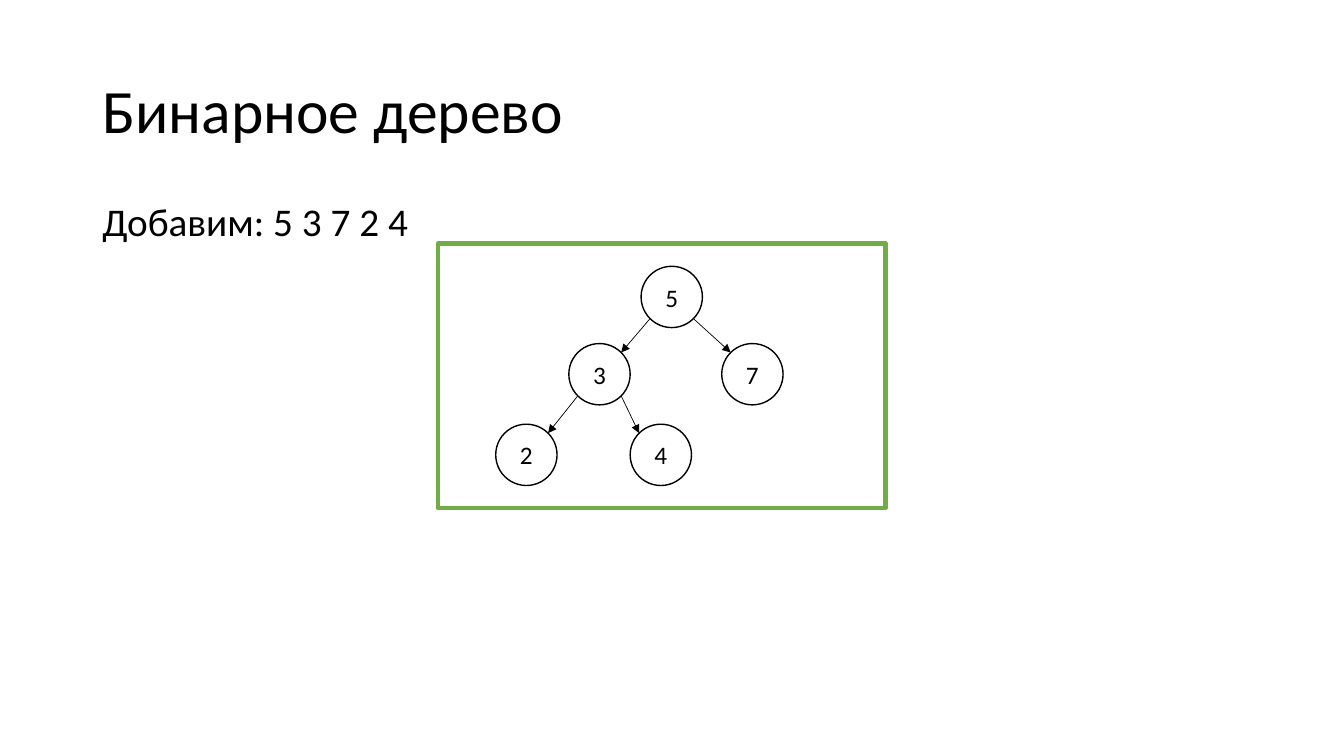
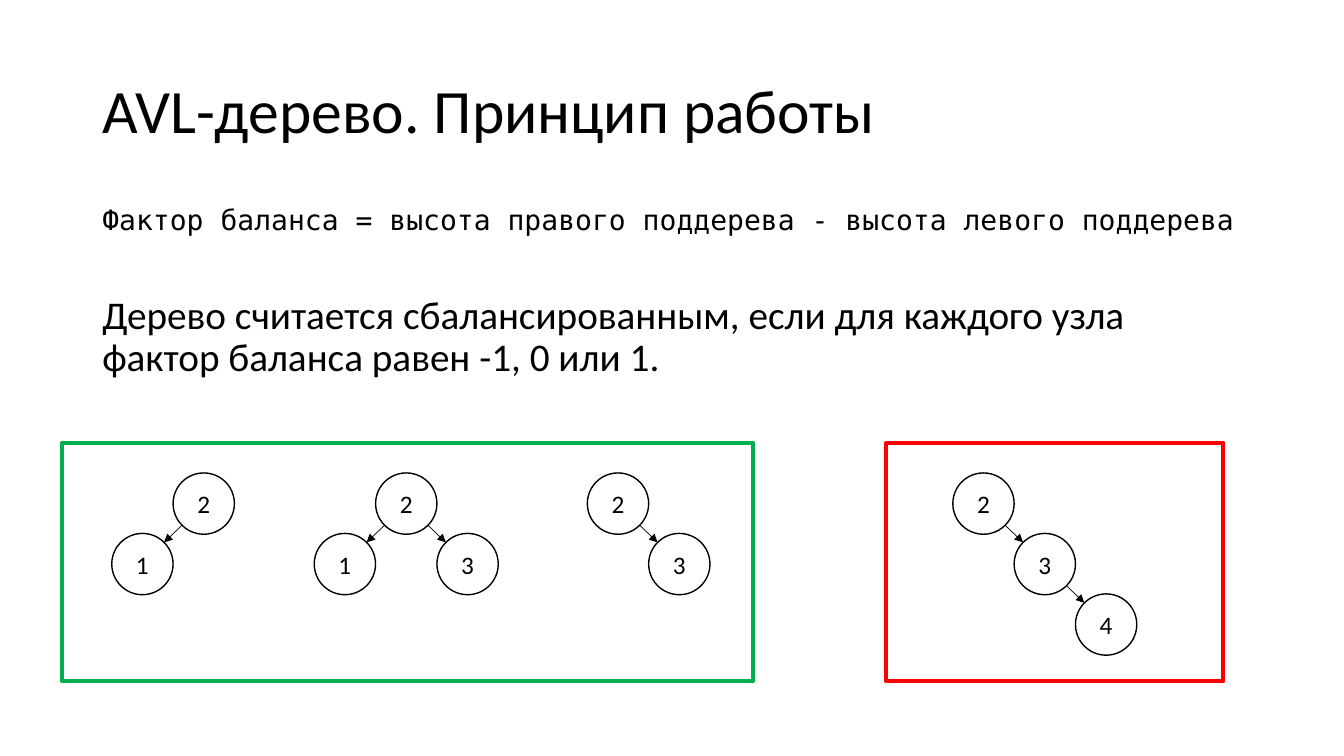
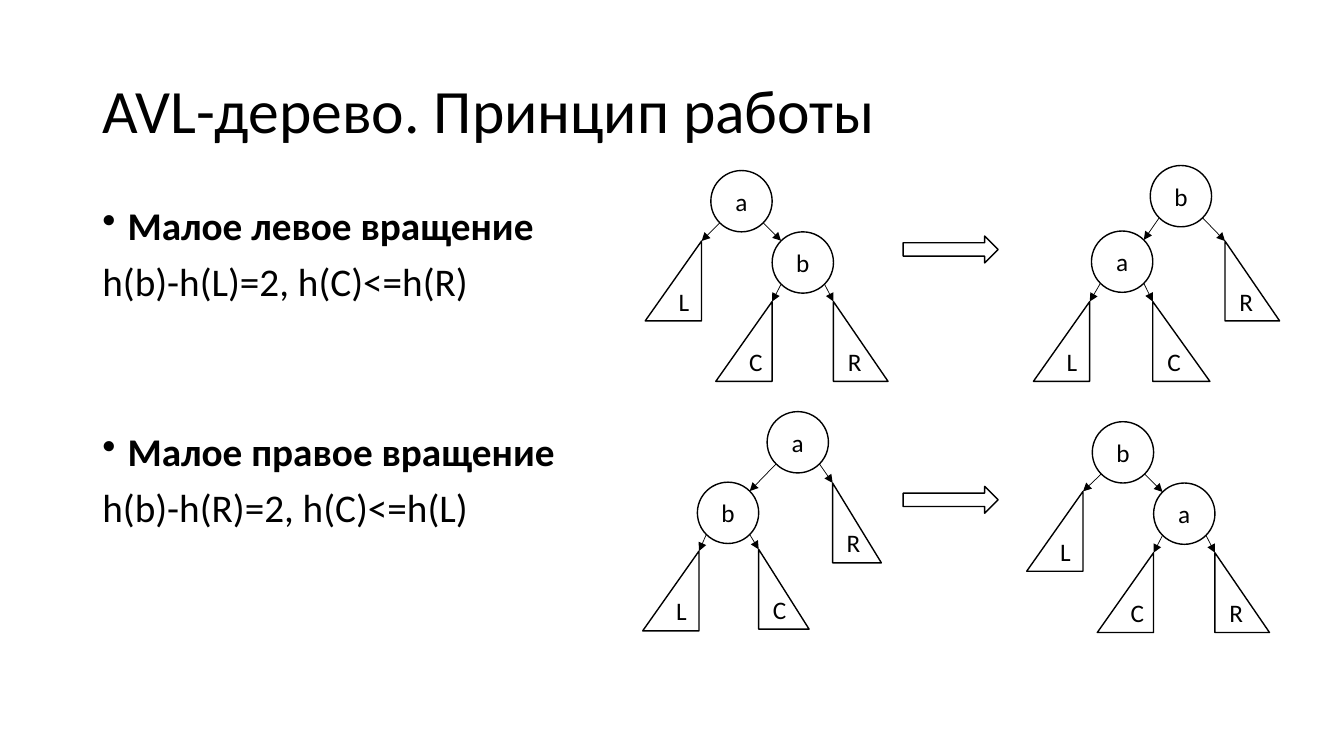
from lxml.etree import SubElement
from pptx import Presentation
from pptx.dml.color import RGBColor
from pptx.enum.shapes import MSO_CONNECTOR, MSO_SHAPE
from pptx.enum.text import MSO_ANCHOR, PP_ALIGN
from pptx.oxml.ns import qn
from pptx.util import Inches, Pt

COLORS = {"ink": "000000", "paper": "FFFFFF", "olive": "70AD47",
          "balanced": "00B050", "unbalanced": "FF0000"}
SANS, MONO = "Calibri", "DejaVu Sans Mono"

prs = Presentation()
prs.slide_width, prs.slide_height = Inches(13.33), Inches(7.5)

# Square grid: 160 columns by 90 rows
U = prs.slide_height / 90
NODE = 7.3                  # circle diameter
CORNER = NODE * 0.146       # where the 45° point of a circle lies in its box
SUBTREE_H = 9.5
STEP = 7.2                  # row distance in compact trees


def add_text(tf, text, size=28, font=SANS, bold=False, align=PP_ALIGN.LEFT,
             spacing=None, before=0, bullet=False):
    p = tf.paragraphs[0] if not tf.text else tf.add_paragraph()
    p.alignment = align
    p.space_before = Pt(before)
    if spacing:
        p.line_spacing = spacing
    if bullet:
        pPr = p._p.get_or_add_pPr()
        pPr.set("marL", str(Inches(0.25)))
        pPr.set("indent", str(-Inches(0.25)))
        SubElement(pPr, qn("a:buChar")).set("char", "•")
    r = p.add_run()
    r.text = text
    r.font.size, r.font.name, r.font.bold = Pt(size), font, bold
    r.font.color.rgb = RGBColor.from_string(COLORS["ink"])


def add_box(s, kind, box, fill="paper", line="ink", width=1):
    sp = s.shapes.add_shape(kind, *[round(v * U) for v in box])
    sp.shadow.inherit = False
    if fill:
        sp.fill.solid()
        sp.fill.fore_color.rgb = RGBColor.from_string(COLORS[fill])
    else:
        sp.fill.background()
    sp.line.color.rgb = RGBColor.from_string(COLORS[line])
    sp.line.width = Pt(width)
    return sp


# Trees: root column and row, then (label, parent, dx, dy, width).
# Offsets run from the parent's corner. A width makes a subtree triangle hung
# from its apex; a negative one extends to the left.
slides = [
    dict(
        title="Бинарное дерево", columns=138, rows=5.9,
        body=[dict(text="Добавим: 5 3 7 2 4", spacing=0.8)],
        trees=[
            ("5", 76.3, 31.7, [("3", "5", -8.6, 9.2, 0), ("7", "5", 9.6, 9.2, 0),
                               ("2", "3", -8.7, 9.6, 0), ("4", "3", 7.3, 9.6, 0)]),
        ],
        frames=[("olive", 52.1, 29, 53.3, 31.5)],
        arrows=[],
    ),
    dict(
        title="AVL-дерево. Принцип работы", columns=138, rows=57.1,
        body=[
            dict(text="Фактор баланса = высота правого поддерева - "
                      "высота левого поддерева", size=20, font=MONO),
            dict(text="Дерево считается сбалансированным, если для каждого узла "
                      "фактор баланса равен -1, 0 или 1.", before=42),
        ],
        trees=[
            ("2", 20.6, 56.3, [("1", "2", -NODE, STEP, 0)]),
            ("2", 44.7, 56.3, [("1", "2", -NODE, STEP, 0),
                               ("3", "2", NODE, STEP, 0)]),
            ("2", 69.9, 56.3, [("3", "2", NODE, STEP, 0)]),
            ("2", 113.4, 56.3, [("3", "2", NODE, STEP, 0),
                                ("4", "3", NODE, STEP, 0)]),
        ],
        frames=[("balanced", 7.4, 52.7, 82.2, 28.4),
                ("unbalanced", 105.5, 52.7, 40.1, 28.4)],
        arrows=[],
    ),
    dict(
        title="AVL-дерево. Принцип работы", columns=62.3, rows=57.1,
        body=[
            dict(text="Малое левое вращение", bold=True, bullet=True),
            dict(text="h(b)-h(L)=2, h(C)<=h(R)"),
            dict(text="Малое правое вращение", bold=True, bullet=True, before=91),
            dict(text="h(b)-h(R)=2, h(C)<=h(L)"),
        ],
        trees=[
            ("а", 84.6, 20.3, [("b", "а", NODE, NODE, 0),
                               ("L", "а", -1.1, 8.4, -6.7),
                               ("C", "b", 0, 8.3, -6.7),
                               ("R", "b", NODE, 8.3, 6.5)]),
            ("b", 136.9, 19.7, [("а", "b", -7, 7.8, 0),
                                ("L", "а", -0.2, 8.4, -6.7),
                                ("C", "а", NODE, 8.4, 6.8),
                                ("R", "b", 8.9, 9, 6.5)]),
            ("а", 91.3, 49, [("b", "а", -8.3, 8.4, 0),
                             ("R", "а", 7.8, 8.5, 5.8),
                             ("L", "b", 0.2, 8.2, -6.7),
                             ("C", "b", NODE, 8, 6)]),
            ("b", 130, 50.2, [("a", "b", NODE, NODE, 0),
                              ("L", "b", -1.1, 8.3, -6.7),
                              ("C", "a", 0, 8.3, -6.7),
                              ("R", "a", NODE, 8.3, 6.5)]),
        ],
        frames=[],
        arrows=[(107.5, 28.1), (107.5, 57.9)],
    ),
]

for page in slides:
    s = prs.slides.add_slide(prs.slide_layouts[6])

    # Title and body
    for top, columns, rows, anchor, paragraphs in (
        (4.8, 138, 17.4, MSO_ANCHOR.MIDDLE, [dict(text=page["title"], size=44)]),
        (24, page["columns"], page["rows"], MSO_ANCHOR.TOP, page["body"]),
    ):
        box = [round(v * U) for v in (11, top, columns, rows)]
        tf = s.shapes.add_textbox(*box).text_frame
        tf.word_wrap, tf.vertical_anchor = True, anchor
        before = 10 if anchor == MSO_ANCHOR.TOP else 0
        for paragraph in paragraphs:
            add_text(tf, **{"spacing": 0.9, "before": before, **paragraph})

    # Trees
    for root, root_x, root_y, children in page["trees"]:
        corners = {root: (root_x, root_y)}
        for label, parent, dx, dy, width in [(root, None, 0, 0, 0)] + children:
            if parent:
                px, py = corners[parent]
                corners[label] = (px + dx, py + dy)
            x, y = corners[label]
            if width:
                left = min(x, x + width)
                sp = add_box(s, MSO_SHAPE.RIGHT_TRIANGLE,
                             (left, y, abs(width), SUBTREE_H))
                if width < 0:
                    sp._element.spPr.get_or_add_xfrm().set("flipH", "1")
            else:
                sp = add_box(s, MSO_SHAPE.OVAL, (x, y, NODE, NODE))
            add_text(sp.text_frame, label, size=18, align=PP_ALIGN.CENTER)

            # Edge from the parent's lower side to the child's upper side
            if parent:
                rightward = dx > 0 if not width else dx > NODE / 2
                start_x = px + (NODE - CORNER if rightward else CORNER)
                end_x, end_y = x, y
                if not width:
                    end_x += CORNER if rightward else NODE - CORNER
                    end_y += CORNER
                ends = (start_x, py + NODE - CORNER, end_x, end_y)
                edge = s.shapes.add_connector(MSO_CONNECTOR.STRAIGHT,
                                              *[round(v * U) for v in ends])
                edge.line.color.rgb = RGBColor.from_string(COLORS["ink"])
                edge.line.width = Pt(0.5)
                spPr = edge._element.spPr
                SubElement(spPr.find(qn("a:ln")), qn("a:tailEnd")).set("type", "triangle")
                SubElement(spPr, qn("a:effectLst"))

    # Frames around trees, arrows between them
    for color, *box in page["frames"]:
        add_box(s, MSO_SHAPE.RECTANGLE, box, fill=None, line=color, width=3)
    for x, y in page["arrows"]:
        add_box(s, MSO_SHAPE.RIGHT_ARROW, (x, y, 11.3, 3.2))

prs.save("out.pptx")
